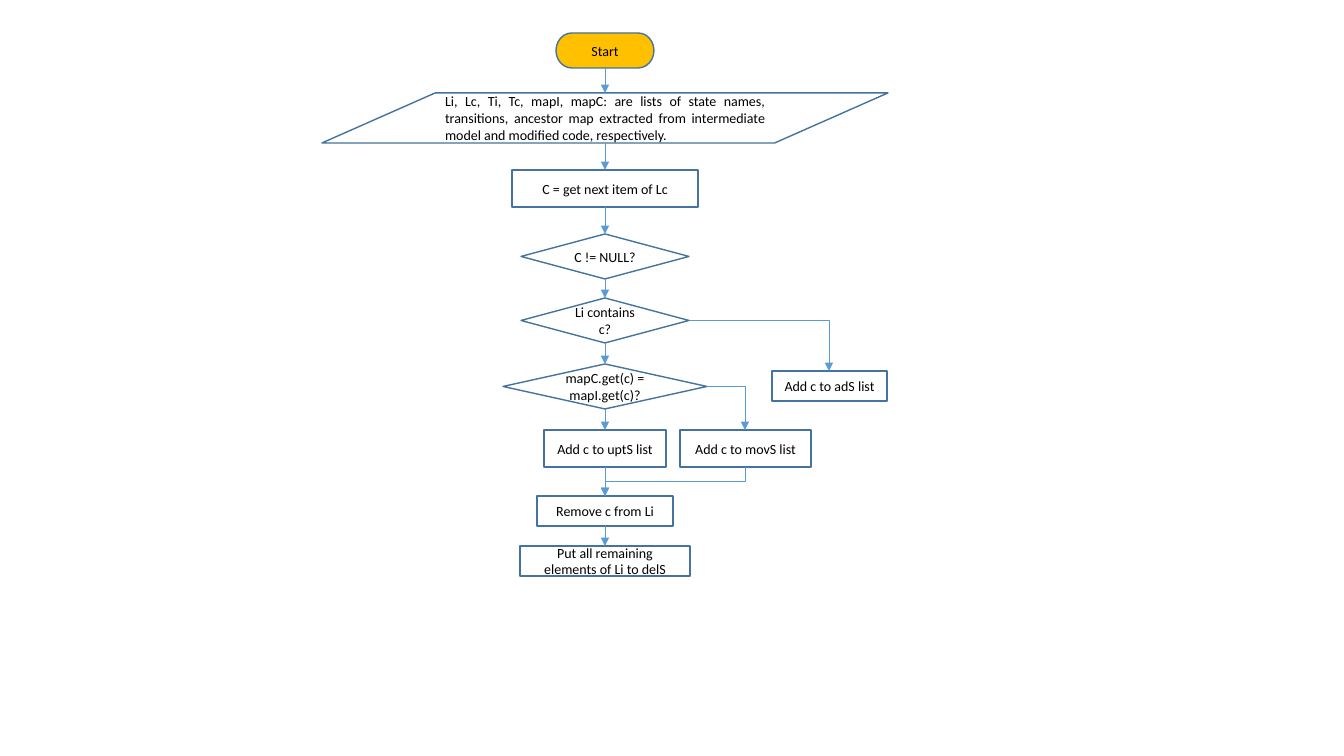
from dataclasses import dataclass
from itertools import pairwise

from lxml import etree
from pptx import Presentation
from pptx.dml.color import RGBColor
from pptx.enum.shapes import MSO_CONNECTOR, MSO_SHAPE
from pptx.enum.text import MSO_ANCHOR, PP_ALIGN
from pptx.oxml.ns import qn
from pptx.util import Emu, Pt

EMU_PER_PX = 914400 / 100.8
OUTLINE, ARROW, INK, START_FILL = "43739E", "5B9BD5", "000000", "FFC000"


def px(value: float) -> Emu:
    return Emu(round(value * EMU_PER_PX))


def color(hex_code: str) -> RGBColor:
    return RGBColor.from_string(hex_code)


@dataclass(frozen=True)
class Step:
    text: str
    kind: MSO_SHAPE
    center: int
    top: int
    width: int
    height: int
    fill: str = ""
    align: PP_ALIGN = PP_ALIGN.CENTER

    @property
    def left(self) -> int:
        return self.center - self.width // 2

    @property
    def right(self) -> int:
        return self.left + self.width

    @property
    def bottom(self) -> int:
        return self.top + self.height

    @property
    def middle(self) -> int:
        return self.top + self.height // 2


def draw_step(shapes, step: Step) -> None:
    shape = shapes.add_shape(step.kind, px(step.left), px(step.top), px(step.width), px(step.height))
    shape.shadow.inherit = False
    if step.fill:
        shape.fill.solid()
        shape.fill.fore_color.rgb = color(step.fill)
    else:
        shape.fill.background()
    shape.line.color.rgb = color(OUTLINE)
    shape.line.width = Pt(1)
    frame = shape.text_frame
    frame.word_wrap = True
    frame.vertical_anchor = MSO_ANCHOR.MIDDLE
    paragraph = frame.paragraphs[0]
    paragraph.alignment = step.align
    run = paragraph.add_run()
    run.text = step.text
    run.font.name = "Calibri"
    run.font.size = Pt(10)
    run.font.color.rgb = color(INK)


def draw_arrow(shapes, x1: float, y1: float, x2: float, y2: float,
               kind: MSO_CONNECTOR = MSO_CONNECTOR.STRAIGHT):
    arrow = shapes.add_connector(kind, px(x1), px(y1), px(x2), px(y2))
    arrow.line.color.rgb = color(ARROW)
    arrow.line.width = Pt(0.5)
    line = arrow.line._get_or_add_ln()
    etree.SubElement(line, qn("a:tailEnd"), type="triangle")
    etree.SubElement(arrow._element.spPr, qn("a:effectLst"))
    return arrow


def draw_branch(shapes, source: Step, target: Step) -> None:
    """Right out of the source, then down into the target."""
    arrow = draw_arrow(shapes, source.right, source.middle, target.center, target.top, MSO_CONNECTOR.ELBOW)
    arrow._element.spPr.find(qn("a:prstGeom")).set("prst", "bentConnector2")


def draw_merge(shapes, source: Step, target: Step) -> None:
    """Down, left and down again: an elbow turned by a quarter."""
    mid_x, mid_y = (source.center + target.center) / 2, (source.bottom + target.top) / 2
    half_w, half_h = (target.top - source.bottom) / 2, (source.center - target.center) / 2
    arrow = draw_arrow(shapes, mid_x - half_w, mid_y - half_h, mid_x + half_w, mid_y + half_h,
                       MSO_CONNECTOR.ELBOW)
    arrow._element.spPr.find(qn("a:xfrm")).set("rot", str(90 * 60000))


# Flowchart steps
PROCESS, DECISION = MSO_SHAPE.FLOWCHART_PROCESS, MSO_SHAPE.FLOWCHART_DECISION
AXIS = 605
start = Step("Start", MSO_SHAPE.FLOWCHART_TERMINATOR, AXIS, 33, 98, 35, START_FILL)
inputs = Step("Li, Lc, Ti, Tc, mapI, mapC: are lists of state names, transitions, ancestor map "
              "extracted from intermediate model and modified code, respectively.",
              MSO_SHAPE.FLOWCHART_DATA, AXIS, 93, 566, 50, align=PP_ALIGN.JUSTIFY)
next_item = Step("C = get next item of Lc", PROCESS, AXIS, 170, 186, 37)
not_null = Step("C != NULL?", DECISION, AXIS, 234, 168, 45)
contains = Step("Li contains c?", DECISION, AXIS, 298, 168, 45)
same_parent = Step("mapC.get(c) = mapI.get(c)?", DECISION, AXIS, 364, 204, 45)
update = Step("Add c to uptS list", PROCESS, AXIS, 430, 122, 37)
remove = Step("Remove c from Li", PROCESS, AXIS, 496, 136, 30)
delete = Step("Put all remaining elements of Li to delS", PROCESS, AXIS, 546, 170, 30)
add = Step("Add c to adS list", PROCESS, 829, 371, 115, 30)
move = Step("Add c to movS list", PROCESS, 745, 430, 131, 37)
main_path = [start, inputs, next_item, not_null, contains, same_parent, update, remove, delete]

# Slide
prs = Presentation()
prs.slide_width, prs.slide_height = px(1344), px(756)
shapes = prs.slides.add_slide(prs.slide_layouts[6]).shapes

for step in [*main_path, add, move]:
    draw_step(shapes, step)

# Arrows
for upper, lower in pairwise(main_path):
    draw_arrow(shapes, AXIS, upper.bottom, AXIS, lower.top)
draw_branch(shapes, contains, add)
draw_branch(shapes, same_parent, move)
draw_merge(shapes, move, remove)

prs.save("out.pptx")
